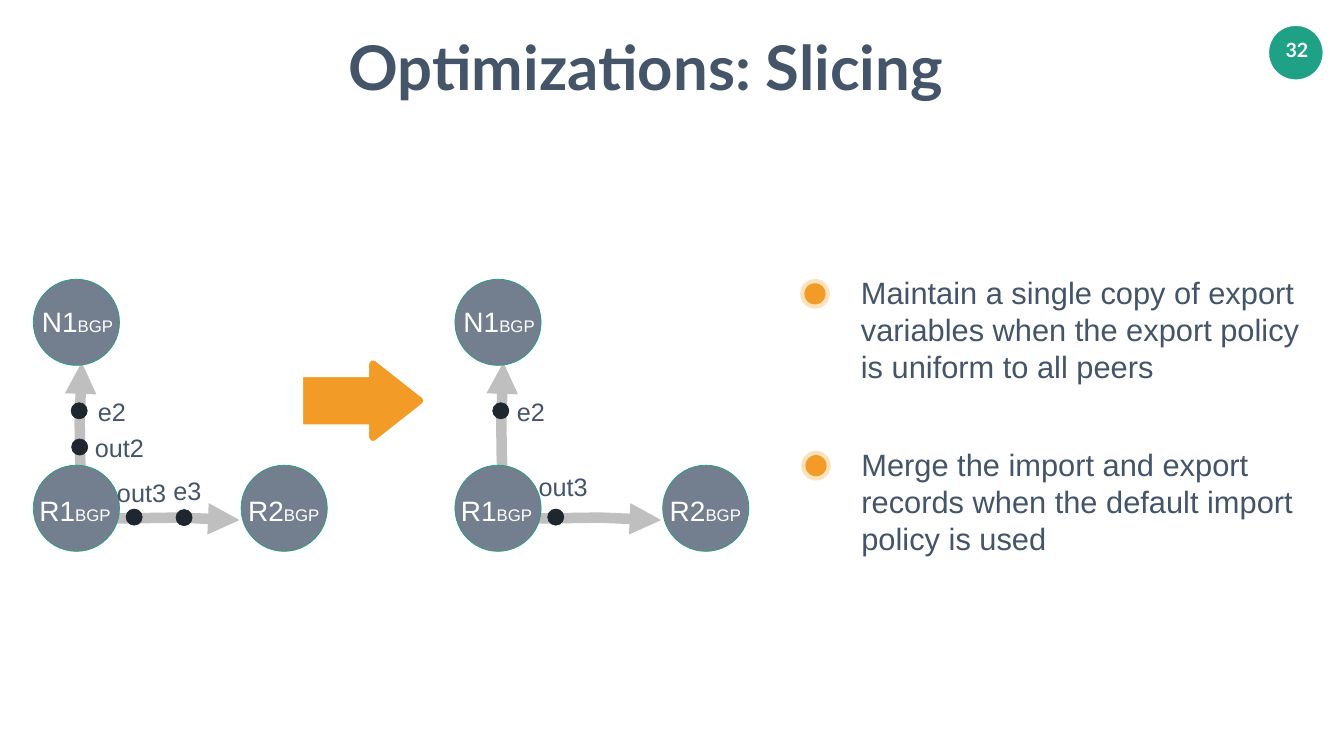
from lxml import etree
from pptx import Presentation
from pptx.dml.color import RGBColor
from pptx.enum.shapes import MSO_SHAPE
from pptx.enum.text import MSO_ANCHOR, MSO_AUTO_SIZE, PP_ALIGN
from pptx.oxml.ns import qn
from pptx.util import Inches, Pt

OVAL = MSO_SHAPE.OVAL
LEFT, CENTER = PP_ALIGN.LEFT, PP_ALIGN.CENTER
TOP, FIXED = MSO_ANCHOR.TOP, MSO_AUTO_SIZE.NONE

COLORS = {
    "ink": "445469", "green": "1EA185", "white": "FFFFFF", "node": "737F8E",
    "dot": "1E262F", "link": "BFBFBF", "halo": "FDE2BB", "orange": "F29B27",
}

TITLE = ("Optimizations: Slicing", (6.86, 0.53, 12.95, 1.57))
PAGE = ("32", (25.39, 0.66, 0.65, 0.67))
POINTS = [
    (["Maintain a single copy of export", "variables when the export policy",
      "is uniform to all peers"], (17.02, 5.38, 8.98, 2.31), (16.16, 5.83)),
    (["Merge the import and export", "records when the default import",
      "policy is used"], (17.03, 8.79, 8.84, 2.31), (16.18, 9.24)),
]

NODES = [
    ("R1", (0.66, 9.23), (0.73, 9.74)),
    ("R2", (4.78, 9.23), (4.87, 9.75)),
    ("N1", (0.66, 5.54), (0.78, 6.0)),
]
LINKS = [
    [(1.58, 10.33), (2.2, 10.29), (3.53, 10.27), (4.75, 10.32)],
    [(1.63, 9.89), (1.59, 9.1), (1.58, 8.37), (1.62, 7.19)],
]
GRAPHS = [
    {"shift": 0,
     "dots": [(1.42, 8.71), (1.41, 7.99), (2.5, 10.1), (3.49, 10.11)],
     "tags": [("e2", 1.89, 7.82), ("e3", 3.39, 9.39),
              ("out2", 1.83, 8.53), ("out3", 2.27, 9.43)]},
    {"shift": 8.36,
     "dots": [(1.41, 7.99), (2.5, 10.1)],
     "tags": [("e2", 1.84, 7.82), ("out3", 2.27, 9.31)]},
]
ARROW = [
    (7.44, 7.15), (7.36, 7.14), (7.31, 7.21), (7.31, 7.47), (6, 7.47),
    (6, 8.43), (7.31, 8.43), (7.31, 8.69), (7.36, 8.76), (7.44, 8.75),
    (8.38, 8.01), (8.41, 7.95), (8.38, 7.89),
]


def paint(name):
    return RGBColor.from_string(COLORS[name])


def style(shape, fill, line=None, width=1):
    shape.shadow.inherit = False
    if fill:
        shape.fill.solid()
        shape.fill.fore_color.rgb = paint(fill)
    else:
        shape.fill.background()
    if line:
        shape.line.color.rgb = paint(line)
        shape.line.width = Pt(width)
    else:
        shape.line.fill.background()


def disc(slide, x, y, size, fill, line=None, width=1):
    box = [Inches(v) for v in (x, y, size, size)]
    style(slide.shapes.add_shape(OVAL, *box), fill, line, width)


def trace(slide, points, close):
    first, *rest = [(Inches(x), Inches(y)) for x, y in points]
    path = slide.shapes.build_freeform(*first)
    path.add_line_segments(rest, close=close)
    return path.convert_to_shape()


def place(shape, box):
    shape.left, shape.top, shape.width, shape.height = map(Inches, box)


def write(shape, lines, size, color, font="Arial", bold=False, align=LEFT, inset=0.05):
    """Fill a text frame; each line is a list of (text, size or None) runs."""
    frame = shape.text_frame
    frame.word_wrap = True
    frame.auto_size = FIXED
    frame.vertical_anchor = TOP
    frame.margin_left = frame.margin_right = Inches(inset)
    frame.margin_top = frame.margin_bottom = Inches(inset)
    for i, runs in enumerate(lines):
        para = frame.add_paragraph() if i else frame.paragraphs[0]
        para.alignment = align
        para.space_before = Pt(0)
        para.font.name, para.font.size = font, Pt(size)
        para.font.bold, para.font.color.rgb = bold, paint(color)
        for text, small in runs:
            run = para.add_run()
            run.text = text
            if small:
                run.font.size = Pt(small)


def label(slide, box, runs, size, color, **kind):
    shape = slide.shapes.add_textbox(*map(Inches, box))
    write(shape, [runs], size, color, **kind)


def list_item(slide, shape, lines, box, spot):
    for size, fill in ((0.59, "halo"), (0.42, "orange")):
        disc(slide, spot[0] - size / 2, spot[1] - size / 2, size, fill)
    place(shape, box)
    write(shape, [[(line, None)] for line in lines], 44, "ink")
    for para in shape.text_frame.paragraphs:
        para.line_spacing = Pt(53)
        props = para._p.get_or_add_pPr()
        props.set("marL", "0")
        props.set("indent", "0")
        etree.SubElement(props, qn("a:buNone"))
        props.append(props.find(qn("a:defRPr")))


def graph(slide, shift, dots, tags):
    for points in LINKS:
        link = trace(slide, [(x + shift, y) for x, y in points], False)
        style(link, None, "link", 15)
        etree.SubElement(link.line._get_or_add_ln(), qn("a:tailEnd"), type="triangle")
    for name, (x, y), (left, top) in NODES:
        disc(slide, x + shift, y, 1.71, "node", "green")
        label(slide, (left + shift, top, 1.58, 0.67),
              [(name, None), ("BGP", 24)], 40, "white")
    for x, y in dots:
        disc(slide, x + shift, y, 0.32, "dot", "dot")
    for text, x, y in tags:
        label(slide, (x + shift, y, 1.2, 0.61), [(text, None)], 36, "ink")


def main():
    deck = Presentation()
    deck.slide_width, deck.slide_height = Inches(26.65), Inches(15)
    slide = deck.slides.add_slide(deck.slide_layouts[3])
    title, *bodies = slide.placeholders

    disc(slide, 25.17, 0.52, 1.05, "green", "green", 0.5)
    label(slide, PAGE[1], [(PAGE[0], None)], 28, "white",
          font="Lato", bold=True, align=CENTER, inset=0.1)
    place(title, TITLE[1])
    write(title, [[(TITLE[0], None)]], 88, "ink", font="Lato", bold=True)
    for body, point in zip(bodies, POINTS):
        list_item(slide, body, *point)
    for item in GRAPHS:
        graph(slide, **item)
    style(trace(slide, ARROW, True), "orange", "white", 1.5)
    deck.save("out.pptx")


if __name__ == "__main__":
    main()
